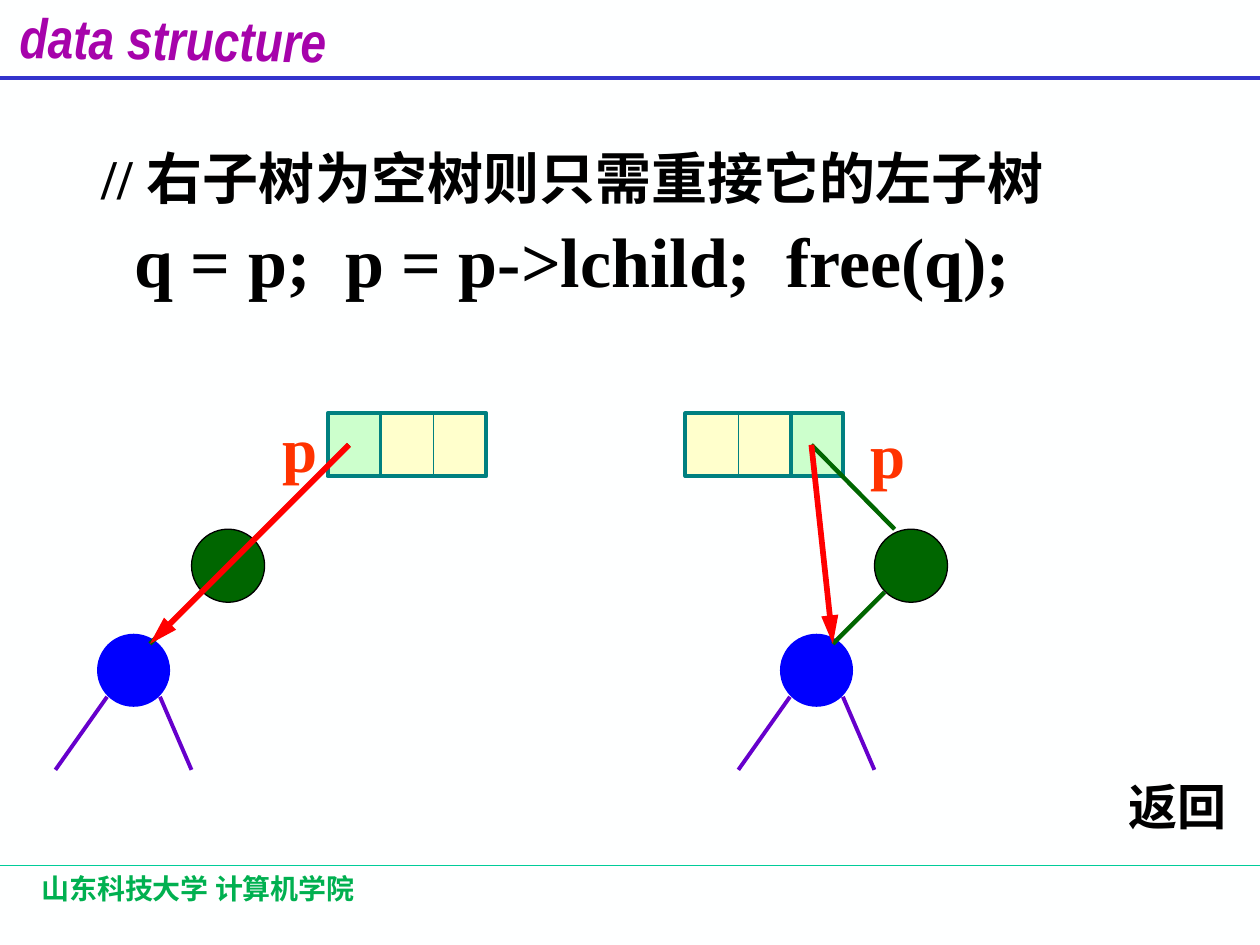
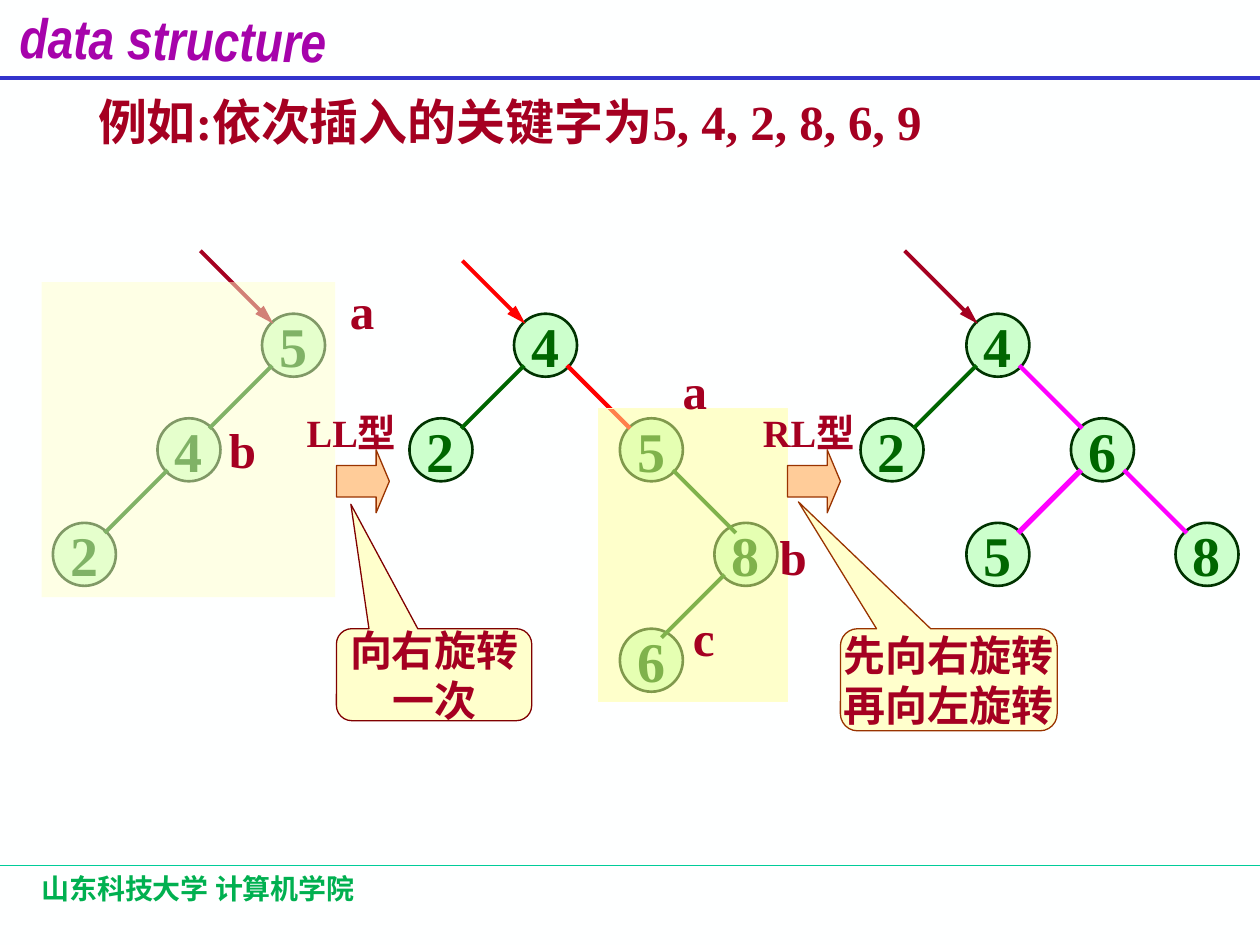
from dataclasses import dataclass

from lxml import etree
from pptx import Presentation
from pptx.dml.color import RGBColor
from pptx.enum.shapes import MSO_CONNECTOR, MSO_SHAPE
from pptx.enum.text import MSO_ANCHOR, PP_ALIGN
from pptx.oxml.ns import qn
from pptx.util import Inches, Pt

STRAIGHT = MSO_CONNECTOR.STRAIGHT
RECT = MSO_SHAPE.RECTANGLE
OVAL = MSO_SHAPE.OVAL
RIGHT_ARROW = MSO_SHAPE.RIGHT_ARROW
CALLOUT = MSO_SHAPE.ROUNDED_RECTANGULAR_CALLOUT
LEFT, CENTER = PP_ALIGN.LEFT, PP_ALIGN.CENTER
MIDDLE = MSO_ANCHOR.MIDDLE


@dataclass(frozen=True)
class Theme:
    latin: str = "Times New Roman"
    chinese: str = "Noto Sans CJK SC"
    brand_font: str = "Arial Narrow"
    background: str = "FEFFFF"
    brand: str = "A603AB"
    header_rule: str = "3333CC"
    footer_rule: str = "00CC99"
    footer: str = "00B050"
    ink: str = "000000"
    crimson: str = "A50021"
    maroon: str = "800000"
    brown: str = "993300"
    orange: str = "FF3300"
    peach: str = "FFCC99"
    red: str = "FF0000"
    magenta: str = "FF00FF"
    purple: str = "6600CC"
    blue: str = "0000FF"
    teal: str = "008080"
    green: str = "006600"
    dark_green: str = "003300"
    mint: str = "CCFFCC"
    cream: str = "FFFFCC"
    yellow: str = "FFFF99"
    code_size: int = 40
    pointer_size: int = 36
    large_size: int = 32
    label_size: int = 28
    callout_size: int = 24
    rotation_size: int = 22
    footer_size: int = 16


THEME = Theme()
NODE = 0.5
EDGE = 0.5
CIRCLE = 0.58
CELL_WIDTH, CELL_HEIGHT = 0.42, 0.5
CELL_TOP = 3.28
LEVELS = (2.49, 3.32, 4.15, 4.99)


def color(value):
    return RGBColor.from_string(value)


def write(frame, text, size, tint, font=THEME.latin, align=LEFT, wrap=True, italic=False):
    frame.word_wrap = wrap
    frame.text = text
    for paragraph in frame.paragraphs:
        paragraph.alignment = align
        for run in paragraph.runs:
            run.font.name = font
            run.font.size = Pt(size)
            run.font.bold = True
            run.font.italic = italic
            run.font.color.rgb = color(tint)
            east_asian = etree.SubElement(run.font._element, qn("a:ea"))
            east_asian.set("typeface", THEME.chinese)


def add_text(slide, box, text, size, tint, **style):
    textbox = slide.shapes.add_textbox(*map(Inches, box))
    write(textbox.text_frame, text, size, tint, **style)
    return textbox


def add_block(slide, kind, box, fill, outline=None, weight=0.75, opacity=None):
    block = slide.shapes.add_shape(kind, *map(Inches, box))
    block.shadow.inherit = False
    block.fill.solid()
    block.fill.fore_color.rgb = color(fill)
    if opacity is not None:
        tint = block.fill._xPr.find(".//" + qn("a:srgbClr"))
        etree.SubElement(tint, qn("a:alpha")).set("val", str(opacity * 1000))
    if outline:
        block.line.color.rgb = color(outline)
        block.line.width = Pt(weight)
    else:
        block.line.fill.background()
    return block


def add_line(slide, start, end, tint, weight, arrow=False):
    line = slide.shapes.add_connector(STRAIGHT, *map(Inches, (*start, *end)))
    line.line.color.rgb = color(tint)
    line.line.width = Pt(weight)
    if arrow:
        head = etree.SubElement(line.line._get_or_add_ln(), qn("a:tailEnd"))
        head.set("type", "triangle")
        head.set("len", "lg")
    etree.SubElement(line._element.spPr, qn("a:effectLst"))


def add_course_slide(deck):
    slide = deck.slides.add_slide(deck.slide_layouts[6])
    slide.background.fill.solid()
    slide.background.fill.fore_color.rgb = color(THEME.background)
    add_line(slide, (0, 6.87), (10, 6.87), THEME.footer_rule, 0.75)
    add_line(slide, (0, 0.62), (10, 0.62), THEME.header_rule, 2.25)
    brand = add_text(slide, (0.06, -0.01, 3, 0.54), "data structure", THEME.large_size,
                     THEME.brand, font=THEME.brand_font, italic=True)
    brand.rotation = 0.8
    add_text(slide, (0.23, 6.87, 4.14, 0.5), "山东科技大学 计算机学院", THEME.footer_size,
             THEME.footer, font=THEME.chinese)
    return slide


def add_record(slide, pointer_left, data_left):
    for left, width, fill in ((pointer_left, CELL_WIDTH, THEME.mint),
                              (data_left, 2 * CELL_WIDTH, THEME.cream)):
        add_block(slide, RECT, (left, CELL_TOP, width, CELL_HEIGHT), fill, THEME.teal, 2.25)
    divider = data_left + CELL_WIDTH
    add_line(slide, (divider, CELL_TOP), (divider, CELL_TOP + CELL_HEIGHT), THEME.teal, 0.75)


def add_subtree(slide, left):
    add_block(slide, OVAL, (left + 0.75, 4.2, CIRCLE, CIRCLE), THEME.green, THEME.ink)
    add_block(slide, OVAL, (left, 5.03, CIRCLE, CIRCLE), THEME.blue)
    for start, end in ((0.08, -0.33), (0.5, 0.75)):
        add_line(slide, (left + start, 5.53), (left + end, 6.11), THEME.purple, 2.25)
    add_line(slide, (left + 0.83, 4.7), (left + 0.42, 5.11), THEME.green, 2.5)


def add_relink(slide, left, pointer_left, data_left, old_target, label_at):
    add_record(slide, pointer_left, data_left)
    add_subtree(slide, left)
    origin = (pointer_left + 0.17, CELL_TOP + CELL_HEIGHT / 2)
    add_line(slide, origin, old_target, THEME.green, 2.5)
    add_line(slide, origin, (left + 0.42, 5.11), THEME.red, 3.25, arrow=True)
    add_text(slide, (*label_at, 0.48, 0.7), "p", THEME.pointer_size, THEME.orange, wrap=False)


def add_nodes(slide, nodes):
    for key, left, level in nodes:
        node = add_block(slide, OVAL, (left, LEVELS[level], NODE, NODE),
                         THEME.mint, THEME.dark_green, 1.5)
        node.text_frame.vertical_anchor = MIDDLE
        write(node.text_frame, key, THEME.large_size, THEME.green, align=CENTER, wrap=False)


def add_edges(slide, edges):
    for parent_left, level, side, tint, weight in edges:
        x = parent_left + NODE / 2 + side * 0.17
        y = LEVELS[level] + 0.41
        add_line(slide, (x, y), (x + side * EDGE, y + EDGE), tint, weight)


def add_root_pointer(slide, root_left, reach, tint):
    x, y = root_left + 0.09, LEVELS[0] + 0.08
    add_line(slide, (x - reach, y - reach), (x, y), tint, 2.25, arrow=True)


def add_callout(slide, box, text, tail, outline):
    callout = add_block(slide, CALLOUT, box, THEME.cream, outline)
    for index, value in enumerate((*tail, 0.167)):
        callout.adjustments[index] = value
    callout.text_frame.vertical_anchor = MIDDLE
    write(callout.text_frame, text, THEME.callout_size, THEME.crimson, align=CENTER, wrap=False)


def add_rotation(slide, arrow_left, label_left, label):
    arrow = add_block(slide, RIGHT_ARROW, (arrow_left, 3.57, 0.42, 0.5), THEME.peach, THEME.brown)
    arrow.adjustments[0] = 0.5
    arrow.adjustments[1] = 0.25
    add_text(slide, (label_left, 3.2, 0.94, 0.84), label, THEME.rotation_size,
             THEME.crimson, align=CENTER)


def build_deletion(deck):
    slide = add_course_slide(deck)
    comment = add_text(slide, (0.71, 0.82, 8.2, 0.9), "// 右子树为空树则只需重接它的左子树",
                       THEME.large_size, THEME.ink)
    comment.text_frame.paragraphs[0].line_spacing = 1.5
    add_text(slide, (0.97, 1.68, 7.6, 0.77), "q = p;  p = p->lchild;  free(q);",
             THEME.code_size, THEME.ink)
    add_relink(slide, 0.77, 2.6, 3.02, (2.02, 4.28), (2.14, 3.2))
    add_relink(slide, 6.19, 6.27, 5.44, (7.1, 4.2), (6.81, 3.25))
    add_text(slide, (8.86, 6.11, 1.14, 0.57), "返回", THEME.label_size, THEME.ink)


def build_rotations(deck):
    slide = add_course_slide(deck)
    add_text(slide, (0.68, 0.68, 7.6, 0.57), "例如:依次插入的关键字为5, 4, 2, 8, 6, 9",
             THEME.label_size, THEME.crimson)

    add_nodes(slide, (("5", 2.08, 0), ("4", 1.25, 1), ("2", 0.42, 2)))
    add_edges(slide, ((2.08, 0, -1, THEME.green, 2.25), (1.25, 1, -1, THEME.green, 2.25)))
    add_root_pointer(slide, 2.08, 0.58, THEME.crimson)

    add_nodes(slide, (("4", 4.08, 0), ("2", 3.25, 1), ("5", 4.92, 1),
                      ("8", 5.67, 2), ("6", 4.92, 3)))
    add_edges(slide, ((4.08, 0, -1, THEME.green, 2.25), (4.08, 0, 1, THEME.red, 2.5),
                      (4.92, 1, 1, THEME.green, 2.25), (5.67, 2, -1, THEME.green, 2.25)))
    add_root_pointer(slide, 4.08, 0.5, THEME.red)

    add_block(slide, RECT, (4.75, 3.24, 1.5, 2.33), THEME.yellow, THEME.cream, opacity=50)
    add_block(slide, RECT, (0.33, 2.24, 2.33, 2.5), THEME.cream, opacity=50)

    add_nodes(slide, (("4", 7.67, 0), ("2", 6.83, 1), ("6", 8.5, 1),
                      ("5", 7.67, 2), ("8", 9.33, 2)))
    add_edges(slide, ((7.67, 0, -1, THEME.green, 2.25), (7.67, 0, 1, THEME.magenta, 2.5),
                      (8.5, 1, -1, THEME.magenta, 3), (8.5, 1, 1, THEME.magenta, 2.5)))
    add_root_pointer(slide, 7.67, 0.58, THEME.crimson)

    add_callout(slide, (2.67, 4.99, 1.55, 0.73), "向右旋转\n一次", (-0.426, -1.853), THEME.maroon)
    add_callout(slide, (6.67, 4.99, 1.72, 0.81), "先向右旋转\n再向左旋转",
                (-0.694, -1.744), THEME.brown)
    add_rotation(slide, 2.67, 2.32, "LL型")
    add_rotation(slide, 6.25, 5.95, "RL型")

    for mark, left, top, width in (("a", 2.56, 2.18, 0.63), ("a", 5.24, 2.81, 0.55),
                                   ("b", 1.61, 3.28, 0.63), ("b", 6.02, 4.13, 0.55),
                                   ("c", 5.31, 4.77, 0.55)):
        add_text(slide, (left, top, width, 0.57), mark, THEME.label_size,
                 THEME.crimson, align=CENTER)


def main():
    deck = Presentation()
    deck.slide_width, deck.slide_height = Inches(10), Inches(7.5)
    build_deletion(deck)
    build_rotations(deck)
    deck.save("out.pptx")


if __name__ == "__main__":
    main()
